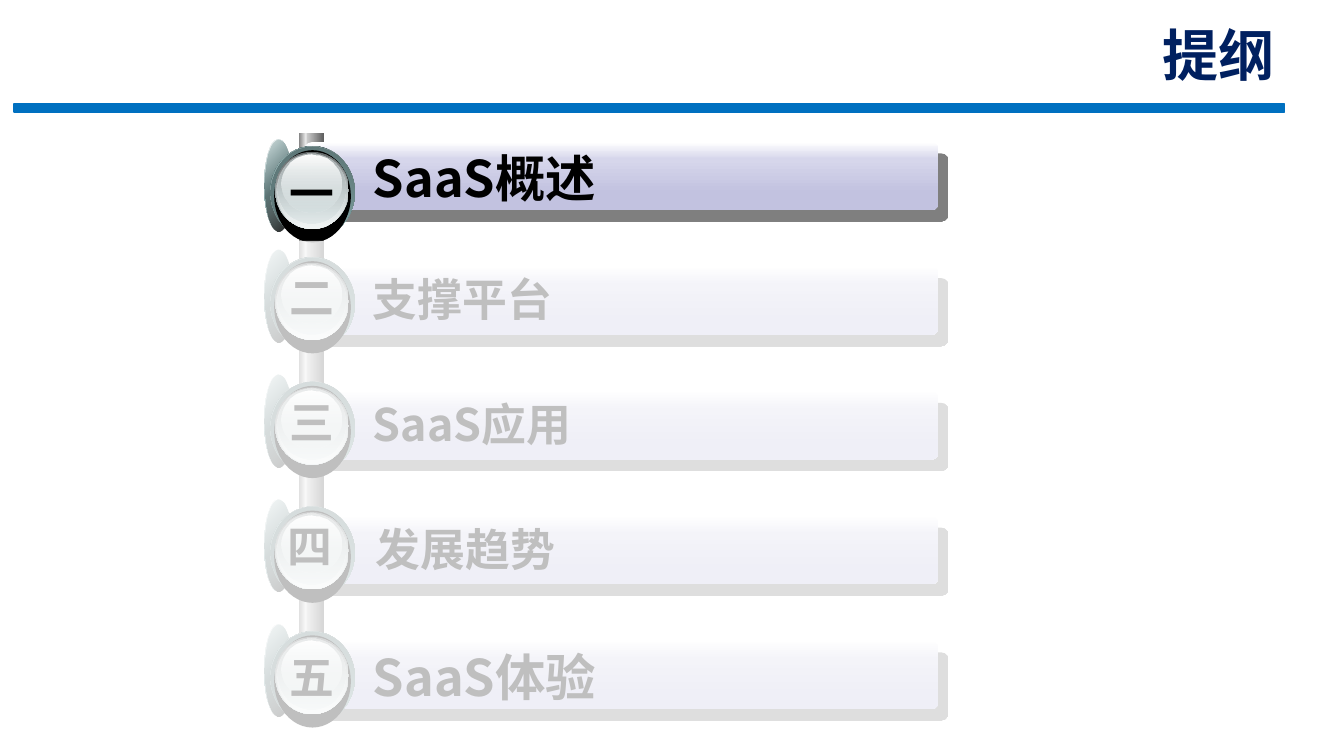
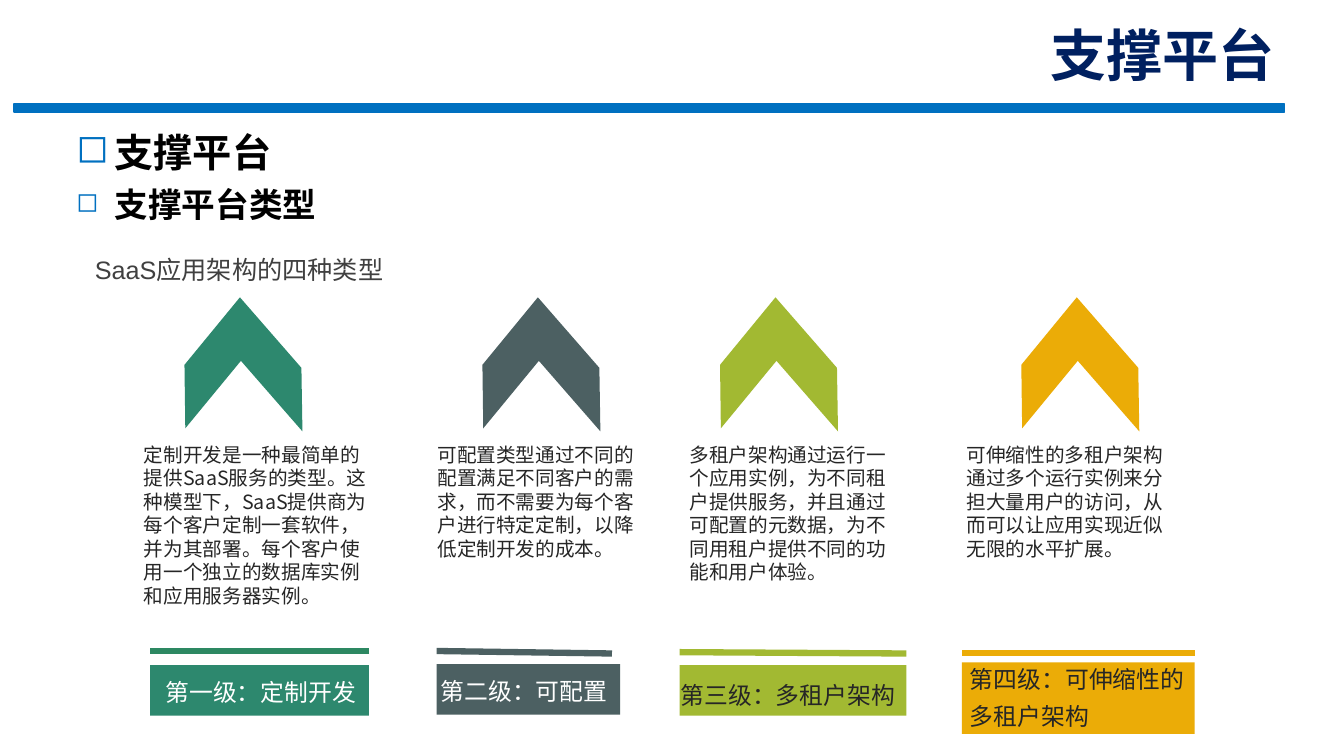
from lxml.etree import SubElement
from pptx import Presentation
from pptx.dml.color import RGBColor
from pptx.enum.shapes import MSO_CONNECTOR as CONN, MSO_SHAPE as SHAPE
from pptx.enum.text import MSO_ANCHOR as ANCHOR, MSO_AUTO_SIZE as AUTO, PP_ALIGN as ALIGN
from pptx.oxml.ns import qn
from pptx.util import Inches, Pt

# Grid: 160 columns by 90 rows of square cells
WIDTH, HEIGHT = Inches(13.33), Inches(7.5)
CELL = HEIGHT / 90

COLORS = {
    "blue": "0070C0", "navy": "002060", "black": "000000", "white": "FFFFFF",
    "ink": "262626", "gray": "404040",
    "green": "2D886E", "leaf": "2D8862", "slate": "4C6062",
    "lime": "A2B932", "amber": "EBAC07",
    "pale": "D6D6EB", "lilac": "C2C2E0", "steel": "83A6A7", "deep": "475A5A",
    "dusk": "53696A", "iron": "636869", "mist": "D6E1E2", "frost": "F1F5F5",
    "ash": "AAB2B3", "mid": "808080", "light": "ECECEC", "silver": "CFCFCF",
    "dark": "5F5F5F",
}
CJK = "Noto Sans CJK SC"

# Gradients: angle, then stops of (position, colour, opacity)
BAR = (90, [(0, "white", 100), (25, "pale", 100), (75, "lilac", 100)])
SPINE = [
    (35.58, 0.84, (0, [(0, "mid", 100), (100, "light", 100)])),
    (36.48, 2.04, (0, [(0, "silver", 100), (100, "dark", 100)])),
]
# Badge layers: box relative to the badge corner, then fill
RIM, RING = (0, 0, 3.36, 10.98), (0.72, 0.84, 10.08, 10.98)
BADGE = [
    (RIM, (45, [(0, "white", 100), (50, "steel", 100), (100, "white", 100)])),
    (RIM, (45, [(0, "steel", 32), (100, "black", 90)])),
    (RING, (315, [(0, "deep", 100), (50, "steel", 100), (100, "deep", 100)])),
    (RING, (45, [(0, "dusk", 100), (100, "steel", 0)])),
    ((1.2, 1.32, 9.12, 10.98), "black"),
    ((1.32, 1.5, 8.76, 9.2), (90, [(0, "iron", 100), (100, "mist", 100)])),
    ((1.44, 1.6, 8.52, 9), (90, [(0, "mist", 0), (100, "frost", 100)])),
    ((1.56, 1.7, 8.16, 8.4), (90, [(0, "ash", 100), (100, "mist", 48)])),
    ((2.04, 1.9, 7.2, 6.84), (90, [(0, "white", 100), (100, "mist", 38)])),
]
# Agenda: numeral, text, size, badge rise above the bar, numeral drop, (text, numeral) shift
AGENDA = [
    ("一", "SaaS概述", 36, 0.36, 2.52, (0, 0)),
    ("二", "支撑平台", 32, 2, 1.8, (0, 0)),
    ("三", "SaaS应用", 32, 2, 1.8, (0, 0)),
    ("四", "发展趋势", 32, 2, 1.75, (0.36, -0.24)),
    ("五", "SaaS体验", 36, 2, 2.4, (0, 0)),
]
CHEVRON = [(13.92, 8.4), (14.04, 15.96), (6.72, 7.56), (0.1, 15.6), (0, 8.04), (6.6, 0)]
# Levels: fill, rule colour, chevron left, body (left, width), body text,
# plate box, rule (right, left row, right row), label box, spacing, colour, text
LEVELS = [
    ("green", "leaf", 21.96, (15.96, 30),
     "定制开发是一种最简单的提供SaaS服务的类型。这种模型下，SaaS提供商为每个客户定制一套软件，"
     "并为其部署。每个客户使用一个独立的数据库实例和应用服务器实例。",
     (17.88, 79.2, 26.04, 6), (43.92, 77.5, 77.5),
     (18.12, 79.2, 27.84, 6), 1.2, "white", "第一级：定制开发"),
    ("slate", "slate", 57.42, (50.88, 27),
     "可配置类型通过不同的配置满足不同客户的需求，而不需要为每个客户进行特定定制，以降低定制开发的成本。",
     (51.96, 79.08, 21.84, 6), (72.84, 77.5, 77.8),
     (50.88, 79.08, 23.28, 6), 1.2, "white", "第二级：可配置"),
    ("lime", "lime", 85.7, (80.88, 27),
     "多租户架构通过运行一个应用实例，为不同租户提供服务，并且通过可配置的元数据，"
     "为不同用租户提供不同的功能和用户体验。",
     (80.88, 79.2, 27, 6), (107.88, 77.64, 77.8),
     (79.44, 79.2, 31.44, 6), 1.3, "ink", "第三级：多租户架构"),
    ("amber", "amber", 121.56, (113.88, 26.76),
     "可伸缩性的多租户架构通过多个运行实例来分担大量用户的访问，从而可以让应用实现近似无限的水平扩展。",
     (114.48, 78.84, 27.72, 8.52), (142.2, 77.7, 77.7),
     (113.88, 77.28, 31.44, 10.08), 1.3, "ink", "第四级：可伸缩性的多租户架构"),
]


def grid(*cells):
    return [round(c * CELL) for c in cells]


def rgb(name):
    return RGBColor.from_string(COLORS[name])


def add_color(parent, name, opacity=100):
    clr = SubElement(parent, qn("a:srgbClr"), val=COLORS[name])
    if opacity < 100:
        SubElement(clr, qn("a:alpha"), val=str(opacity * 1000))


def paint(sp, fill):
    """Fill with a colour name or an (angle, stops) gradient; no line or shadow."""
    sp.shadow.inherit = False
    sp.line.fill.background()
    if isinstance(fill, str):
        sp.fill.solid()
        sp.fill.fore_color.rgb = rgb(fill)
        return
    angle, stops = fill
    sp.fill.gradient()
    grad = sp.element.spPr.find(qn("a:gradFill"))
    for child in list(grad):
        grad.remove(child)
    lst = SubElement(grad, qn("a:gsLst"))
    for pos, name, opacity in stops:
        add_color(SubElement(lst, qn("a:gs"), pos=str(pos * 1000)), name, opacity)
    SubElement(grad, qn("a:lin"), ang=str(angle * 60000), scaled="0")


def add_box(shapes, kind, box, fill):
    sp = shapes.add_shape(kind, *grid(*box))
    paint(sp, fill)
    return sp


def add_text(shapes, box, text, size, color, font=CJK, bold=False, wrap=True,
             grow=False, inset=None, spacing=None, align=None, anchor=ANCHOR.TOP,
             bullet=None):
    tf = shapes.add_textbox(*grid(*box)).text_frame
    tf.word_wrap, tf.vertical_anchor = wrap, anchor
    if grow:
        tf.auto_size = AUTO.SHAPE_TO_FIT_TEXT
    if inset:
        tf.margin_left = tf.margin_right = Inches(inset[0])
        tf.margin_top = tf.margin_bottom = Inches(inset[1])
    p = tf.paragraphs[0]
    if bullet:
        add_bullet(p, bullet)
    if spacing:
        p.line_spacing = spacing
    if align:
        p.alignment = align
    r = p.add_run()
    r.text = text
    r.font.name, r.font.size, r.font.bold = font, Pt(size), bold
    r.font.color.rgb = rgb(color)
    SubElement(r.font._element, qn("a:ea"), typeface=CJK)


def add_bullet(p, percent):
    pPr = p._p.get_or_add_pPr()
    indent = Inches(0.38)
    pPr.set("marL", str(indent))
    pPr.set("indent", str(-indent))
    add_color(SubElement(pPr, qn("a:buClr")), "blue")
    SubElement(pPr, qn("a:buSzPct"), val=str(percent * 1000))
    SubElement(pPr, qn("a:buChar"), char="◻")


def add_rule(shapes, start, end, color):
    cn = shapes.add_connector(CONN.STRAIGHT, *grid(*start, *end))
    cn.line.color.rgb, cn.line.width = rgb(color), Pt(4.5)
    SubElement(cn.element.spPr, qn("a:effectLst"))


def add_chevron(shapes, left, top, fill):
    pts = [tuple(grid(left + x, top + y)) for x, y in CHEVRON]
    ff = shapes.build_freeform(*pts[0])
    ff.add_line_segments(pts[1:], close=True)
    paint(ff.convert_to_shape(), fill)


def new_slide(prs, title):
    """Blank slide with the shared title and blue band."""
    s = prs.slides.add_slide(prs.slide_layouts[6])
    band = add_box(s.shapes, SHAPE.RECTANGLE, (1.68, 12.36, 151.2, 0.96), "blue")
    band.line.color.rgb, band.line.width = rgb("blue"), Pt(1)
    add_text(s.shapes, (76.92, 4.08, 75.96, 6.96), title, 40, "navy", "Roboto",
             bold=True, align=ALIGN.RIGHT, anchor=ANCHOR.BOTTOM)
    return s


def add_agenda_row(s, top, numeral, text, size, rise, drop, shift):
    shapes = s.shapes.add_group_shape().shapes
    bar = add_box(shapes, SHAPE.ROUNDED_RECTANGLE, (36.24, top, 75.48, 8.1), BAR)
    bar.adjustments[0] = 0.11
    shadow = SubElement(bar.element.spPr.find(qn("a:effectLst")), qn("a:outerShdw"),
                        dist=str(Pt(10.6)), dir=str(49 * 60000), algn="ctr",
                        rotWithShape="0")
    add_color(shadow, "black", 50)
    add_text(shapes, (43.2 + shift[0], top, 62, 7.7), text, size, "black",
             bold=True, grow=True)
    # Round badge
    left, head = 31.44, top - rise
    for (x, y, w, h), fill in BADGE:
        add_box(shapes, SHAPE.OVAL, (left + x, head + y, w, h), fill)
    add_text(shapes, (left + 1.8 + shift[1], head + drop, 7.56, 7.7), numeral, 32,
             "black", bold=True, wrap=False, grow=True)


def agenda_slide(prs):
    s = new_slide(prs, "提纲")
    for left, width, fill in SPINE:
        add_box(s.shapes, SHAPE.RECTANGLE, (left, 15.84, width, 66.6), fill)
    for i, row in enumerate(AGENDA):
        add_agenda_row(s, 16.92 + 14.85 * i, *row)
    # Veil over the topics still to come
    veil = add_box(s.shapes, SHAPE.RECTANGLE, (19.08, 28.68, 108.72, 59.04), "white")
    clr = veil.element.spPr.find(qn("a:solidFill"))[0]
    SubElement(clr, qn("a:alpha"), val="75000")


def levels_slide(prs):
    s = new_slide(prs, "支撑平台")
    sh = s.shapes
    # Headings
    add_text(sh, (7.92, 14.64, 25.92, 6.84), "支撑平台", 28, "black",
             bold=True, wrap=False, grow=True, bullet=100)
    add_text(sh, (7.92, 21.36, 31.32, 6), "支撑平台类型", 24, "black",
             bold=True, wrap=False, grow=True, bullet=80)
    label_style = {"font": "Arial", "inset": (0.13, 0.07)}
    add_text(sh, (9.72, 28.32, 62.28, 17), "SaaS应用架构的四种类型", 18, "gray",
             spacing=1.3, **label_style)
    # Four levels
    for (fill, rule, chevron, (left, width), body, plate, (right, y1, y2),
         label_box, spacing, color, label) in LEVELS:
        add_chevron(sh, chevron, 35.4, fill)
        add_text(sh, (left, 52.08, width, 18), body, 14, "ink", grow=True)
        add_rule(sh, (right, y2), (plate[0], y1), rule)
        add_box(sh, SHAPE.RECTANGLE, plate, fill)
        add_text(sh, label_box, label, 17, color, spacing=spacing, **label_style)


def main():
    prs = Presentation()
    prs.slide_width, prs.slide_height = WIDTH, HEIGHT
    agenda_slide(prs)
    levels_slide(prs)
    prs.save("out.pptx")


if __name__ == "__main__":
    main()
